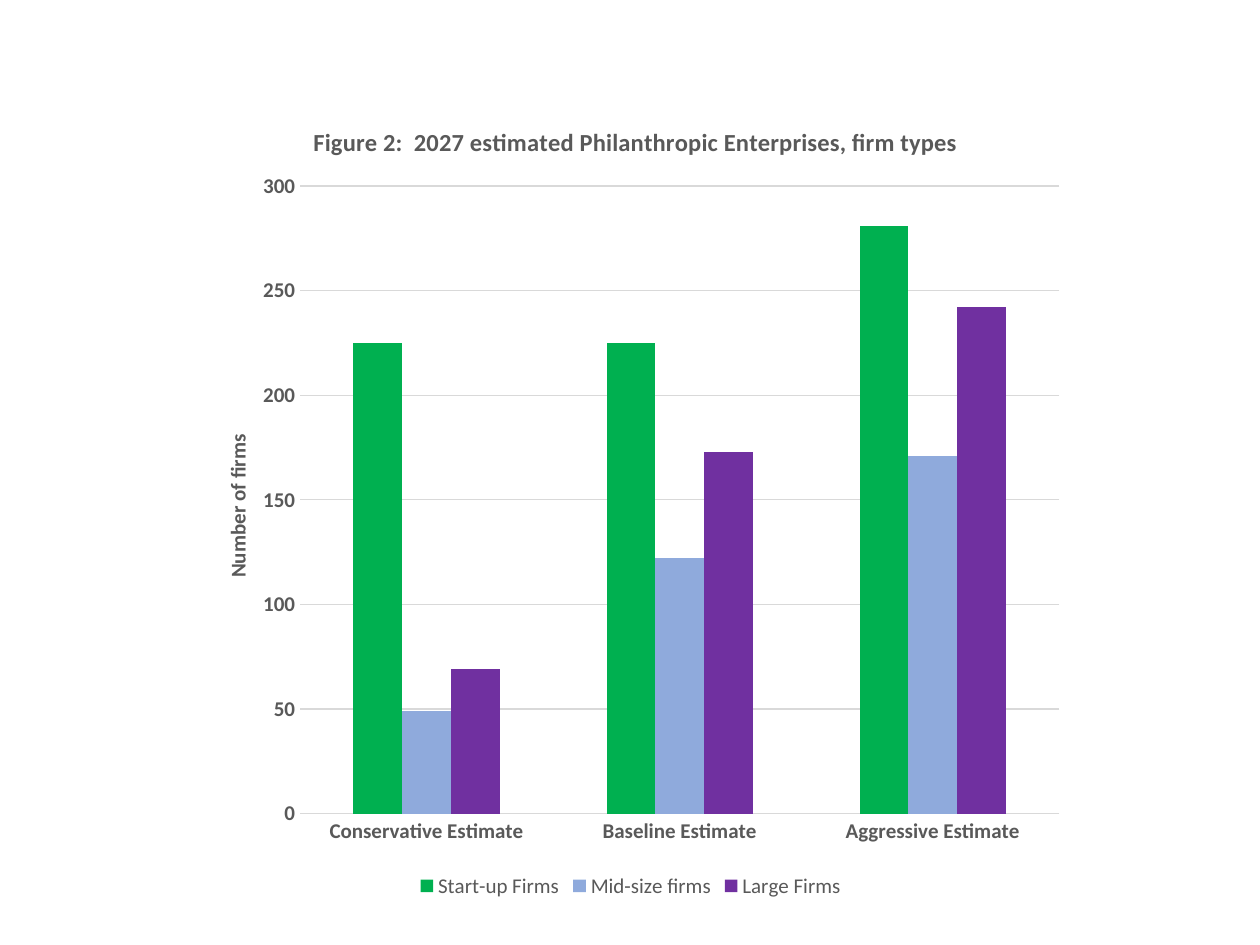
import pptx
import pptx.util
import pptx.dml.color
import pptx.chart.data
import pptx.enum.chart
import pptx.oxml
import pptx.oxml.ns

Inches = pptx.util.Inches
Pt = pptx.util.Pt
qn = pptx.oxml.ns.qn

COLORS = {
    "text": "595959",
    "grid": "D9D9D9",
    "Start-up Firms": "00B050",
    "Mid-size firms": "8FAADC",
    "Large Firms": "7030A0",
}
FIRMS = {
    "Start-up Firms": (225, 225, 281),
    "Mid-size firms": (49, 122, 171),
    "Large Firms": (69, 173, 242),
}


def style_font(font, size, bold):
    font.name = "Calibri"
    font.size = Pt(size)
    font.bold = bold
    font.color.rgb = pptx.dml.color.RGBColor.from_string(COLORS["text"])


def place(element, index, **fractions):
    for old_layout in element.findall(qn("c:layout")):
        element.remove(old_layout)
    layout = pptx.oxml.parse_xml(
        '<c:layout xmlns:c="http://schemas.openxmlformats.org/drawingml/2006/chart">'
        "<c:manualLayout/></c:layout>"
    )
    settings = {"xMode": "edge", "yMode": "edge", **fractions}
    if "w" in fractions:
        settings = {"layoutTarget": "inner", **settings}
    for name, value in settings.items():
        child = layout[0].makeelement(qn("c:" + name), {"val": str(value)})
        layout[0].append(child)
    element.insert(index, layout)


presentation = pptx.Presentation()
presentation.slide_width = Inches(10)
presentation.slide_height = Inches(7.5)
slide = presentation.slides.add_slide(presentation.slide_layouts[6])

chart_data = pptx.chart.data.CategoryChartData(number_format="0")
chart_data.categories = [
    "Conservative Estimate",
    "Baseline Estimate",
    "Aggressive Estimate",
]
for name, values in FIRMS.items():
    chart_data.add_series(name, values)

chart = slide.shapes.add_chart(
    pptx.enum.chart.XL_CHART_TYPE.COLUMN_CLUSTERED,
    Inches(1.46), Inches(0.7), Inches(7.09), Inches(6.47),
    chart_data,
).chart
chart.font.name = "Calibri"
chart.font.size = Pt(10)

plot = chart.plots[0]
plot.gap_width = 219
plot.overlap = 0
plot.vary_by_categories = False
for series in plot.series:
    series.format.fill.solid()
    series.format.fill.fore_color.rgb = pptx.dml.color.RGBColor.from_string(
        COLORS[series.name]
    )

category_axis = chart.category_axis
value_axis = chart.value_axis
for axis in (category_axis, value_axis):
    axis.major_tick_mark = pptx.enum.chart.XL_TICK_MARK.NONE
    axis.minor_tick_mark = pptx.enum.chart.XL_TICK_MARK.NONE
    style_font(axis.tick_labels.font, 12, True)

value_axis.minimum_scale = 0
value_axis.maximum_scale = 300
value_axis.major_unit = 50
value_axis.has_major_gridlines = True
value_axis.tick_labels.number_format = "0"
value_axis.tick_labels.number_format_is_linked = False
value_axis.format.line.fill.background()
for line in (category_axis.format.line, value_axis.major_gridlines.format.line):
    line.width = Pt(0.75)
    line.color.rgb = pptx.dml.color.RGBColor.from_string(COLORS["grid"])

chart.has_title = True
value_axis.has_title = True
titles = [
    (chart.chart_title,
     "Figure 2:  2027 estimated Philanthropic Enterprises, firm types", 14),
    (value_axis.axis_title, "Number of firms", 12),
]
for title, text, size in titles:
    run = title.text_frame.paragraphs[0].add_run()
    run.text = text
    style_font(run.font, size, True)
chart.chart_title.include_in_layout = False

chart.has_legend = True
chart.legend.position = pptx.enum.chart.XL_LEGEND_POSITION.BOTTOM
chart.legend.include_in_layout = False
style_font(chart.legend.font, 12, False)

plot_area = chart.element.find(".//" + qn("c:plotArea"))
place(plot_area, 0, x=0.13, y=0.12, w=0.85, h=0.77)
place(chart.chart_title.element, 1, x=0.14, y=0.04)
place(value_axis.axis_title.element, 1, x=0.04, y=0.42)

presentation.save("out.pptx")
